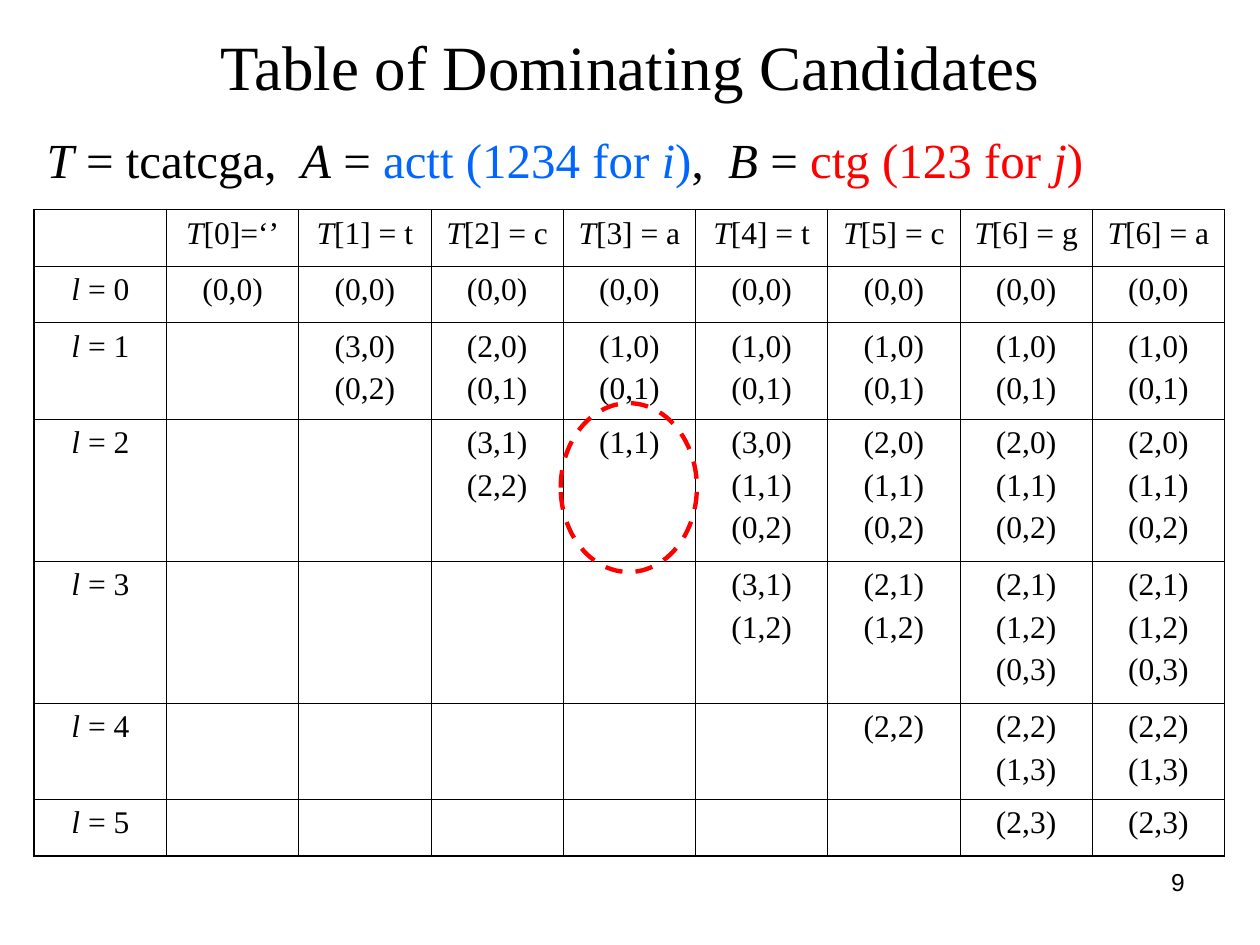
"""Builds the slide with the table of dominating candidates."""
from lxml.etree import SubElement
from pptx import Presentation
from pptx.dml.color import RGBColor
from pptx.enum.dml import MSO_LINE
from pptx.enum.shapes import MSO_SHAPE
from pptx.enum.text import MSO_ANCHOR, PP_ALIGN
from pptx.oxml.ns import qn
from pptx.util import Pt

COLORS = {"black": "000000", "blue": "0066FF", "red": "FF0000"}
SERIF = "Times New Roman"


def add_spans(para, spans, size, name=SERIF):
    for text, italic, color in spans:
        span = para.add_run()
        span.text = text
        formats = {"size": Pt(size), "name": name, "italic": italic}
        for key, value in formats.items():
            setattr(span.font, key, value)
        span.font.color.rgb = RGBColor.from_string(COLORS[color])


def set_borders(cell, widths):
    cell.fill.background()
    properties = cell._tc.get_or_add_tcPr()
    for position, (side, width) in enumerate(widths.items()):
        line = SubElement(properties, qn(f"a:ln{side}"), w=str(Pt(width)))
        fill = SubElement(line, qn("a:solidFill"))
        SubElement(fill, qn("a:srgbClr"), val=COLORS["black"])
        properties.insert(position, line)


deck = Presentation()
deck.slide_width, deck.slide_height = Pt(720), Pt(540)
page = deck.slides.add_slide(deck.slide_layouts[5])

title = page.shapes.title
title_place = {"left": 36, "top": 9.4, "width": 648, "height": 55.4}
for key, value in title_place.items():
    setattr(title, key, Pt(value))
title.text_frame.vertical_anchor = MSO_ANCHOR.MIDDLE
title_para = title.text_frame.paragraphs[0]
title_para.alignment = PP_ALIGN.CENTER
add_spans(title_para, [("Table of Dominating Candidates", False, "black")], 36)

headers = ["[0]=‘’", "[1] = t", "[2] = c", "[3] = a", "[4] = t",
           "[5] = c", "[6] = g", "[6] = a"]
candidates = [
    ["(0,0)"] * 8,
    ["(3,0) (0,2)", "(2,0) (0,1)"] + ["(1,0) (0,1)"] * 5,
    ["(3,1) (2,2)", "(1,1)", "(3,0) (1,1) (0,2)"] + ["(2,0) (1,1) (0,2)"] * 3,
    ["(3,1) (1,2)", "(2,1) (1,2)"] + ["(2,1) (1,2) (0,3)"] * 2,
    ["(2,2)"] + ["(2,2) (1,3)"] * 2,
    ["(2,3)"] * 2,
]
row_heights = [32.3, 32.3, 55.1, 81.1, 81.1, 55.1, 32.3]
column_count = len(headers) + 1
row_count = len(row_heights)

frame = page.shapes.add_table(row_count, column_count, Pt(19.6), Pt(119.8),
                              Pt(75.6 * column_count), Pt(sum(row_heights)))
grid = frame.table
grid.first_row = grid.horz_banding = False
for column in grid.columns:
    column.width = Pt(75.6)
for row, height in zip(grid.rows, row_heights):
    row.height = Pt(height)

contents = [[[]] + [[[("T", True, "black"), (header, False, "black")]]
                    for header in headers]]
for level, pairs in enumerate(candidates):
    label = [[("l", True, "black"), (f" = {level}", False, "black")]]
    blanks = [[]] * (len(headers) - len(pairs))
    filled = [[[(pair, False, "black")] for pair in text.split()] for text in pairs]
    contents.append([label] + blanks + filled)

for r, row_content in enumerate(contents):
    for c, lines in enumerate(row_content):
        cell = grid.cell(r, c)
        outer = {"L": c == 0, "R": c == column_count - 1,
                 "T": r == 0, "B": r == row_count - 1}
        set_borders(cell, {side: 1.08 if edge else 0.45
                           for side, edge in outer.items()})
        for index, spans in enumerate(lines):
            if index == 0:
                para = cell.text_frame.paragraphs[0]
            else:
                para = cell.text_frame.add_paragraph()
                para.space_before = Pt(4.5)
            para.alignment = PP_ALIGN.CENTER
            add_spans(para, spans, 18)

strings_box = page.shapes.add_textbox(Pt(19.6), Pt(70.6), Pt(674.6), Pt(41))
strings_box.text_frame.word_wrap = True
add_spans(strings_box.text_frame.paragraphs[0], [
    ("T", True, "black"), (" = tcatcga,  ", False, "black"),
    ("A", True, "black"), (" = ", False, "black"),
    ("actt (1234 for ", False, "blue"), ("i", True, "blue"), (")", False, "blue"),
    (",  ", False, "black"), ("B", True, "black"), (" = ", False, "black"),
    ("ctg (123 for ", False, "red"), ("j", True, "red"), (")", False, "red"),
], 28)

highlight = page.shapes.add_shape(MSO_SHAPE.OVAL, Pt(320.4), Pt(230.4),
                                  Pt(77.8), Pt(96.5))
highlight.shadow.inherit = False
highlight.fill.background()
highlight.line.color.rgb = RGBColor.from_string(COLORS["red"])
highlight.line.width = Pt(2.5)
highlight.line.dash_style = MSO_LINE.DASH

number_box = page.shapes.add_textbox(Pt(516), Pt(491.8), Pt(168), Pt(37.4))
number_box.text_frame.word_wrap = True
number_para = number_box.text_frame.paragraphs[0]
number_para.alignment = PP_ALIGN.RIGHT
add_spans(number_para, [("9", False, "black")], 14, "Arial")

deck.save("out.pptx")
